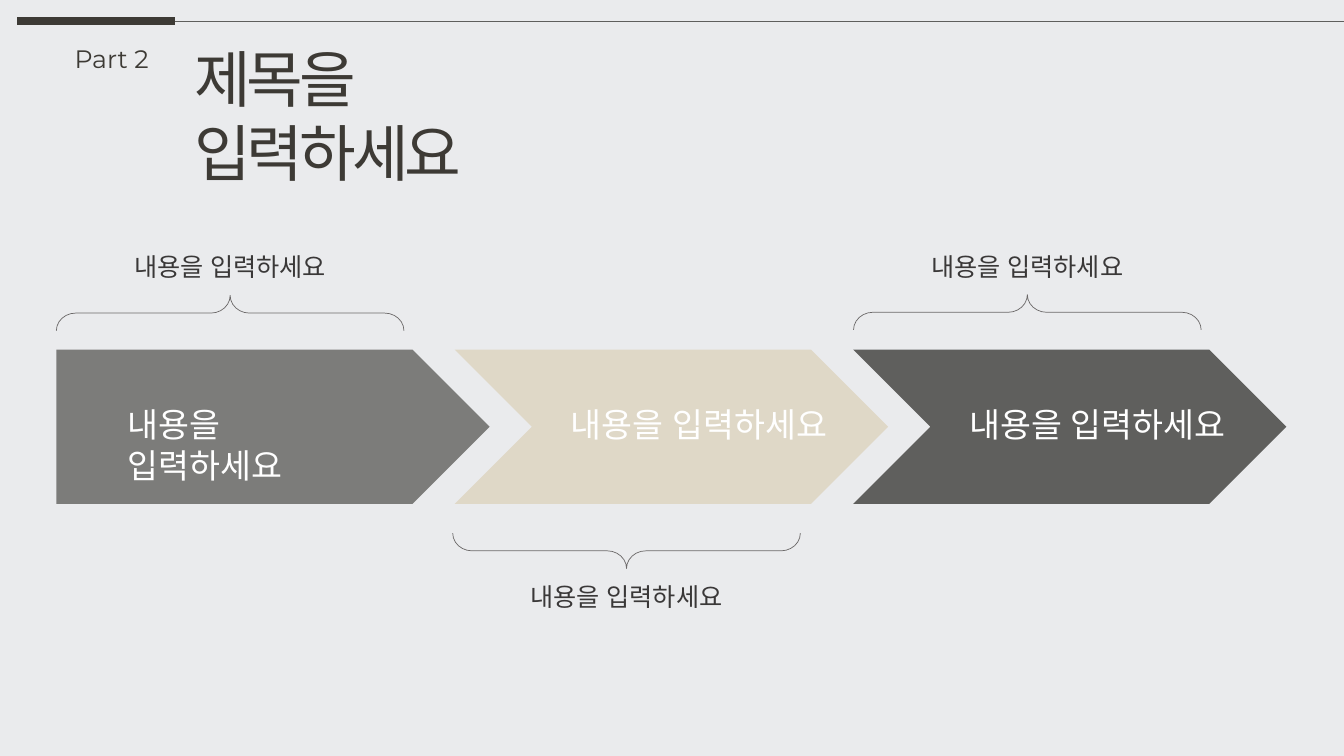
"""Build a three-step arrow process slide with braces and captions."""
from dataclasses import dataclass

from lxml.etree import SubElement
from pptx import Presentation
from pptx.dml.color import RGBColor
from pptx.enum.shapes import MSO_CONNECTOR, MSO_SHAPE
from pptx.enum.text import MSO_AUTO_SIZE, PP_ALIGN
from pptx.oxml.ns import qn
from pptx.slide import Slide
from pptx.util import Cm, Pt

PAPER = RGBColor(0xEA, 0xEB, 0xED)
INK = RGBColor(0x3D, 0x3A, 0x35)
SOFT = RGBColor(0x3A, 0x38, 0x38)
SMOKE = RGBColor(0x5F, 0x5F, 0x5D)
SAND = RGBColor(0xDF, 0xD8, 0xC7)
STONE = RGBColor(0x7C, 0x7C, 0x7A)
EDGE = RGBColor(0x6C, 0x69, 0x69)
WHITE = RGBColor(0xFF, 0xFF, 0xFF)

FACE = "Montserrat"
PROMPT = "내용을 입력하세요"
LEFT, PITCH = 1.42, 10.04
BRACE_W, BRACE_H = 0.89, 8.76
NOTE_W = 5.36


@dataclass
class Label:
    text: str
    left: float
    top: float
    width: float
    height: float
    size: float
    color: RGBColor
    wrap: bool = False
    align: PP_ALIGN = PP_ALIGN.LEFT
    track: int = 0


@dataclass
class Rule:
    start: float
    end: float
    color: RGBColor
    weight: float


@dataclass
class Step:
    kind: MSO_SHAPE
    fill: RGBColor
    inset: float
    width: float
    wrap: bool
    mid: float
    brace_y: float
    note_y: float
    turn: int


RULES = [Rule(0.43, 4.42, INK, 6), Rule(4.42, 33.87, SMOKE, 0.5)]
HEADS = [
    Label("제목을 입력하세요", 4.65, 0.91, 10.82, 2.13, 44, INK, wrap=True, track=-300),
    Label("Part 2", 1.63, 0.97, 2.46, 1.02, 18, INK),
]
STEPS = [
    Step(MSO_SHAPE.PENTAGON, STONE, 1.55, 6.65, True, 5.8, 7.89, 6.2, 90),
    Step(MSO_SHAPE.CHEVRON, SAND, 2.68, 6.99, False, 15.79, 13.88, 14.53, 270),
    Step(MSO_SHAPE.CHEVRON, SMOKE, 2.68, 6.99, False, 25.89, 7.87, 6.2, 90),
]


def add_label(slide: Slide, label: Label) -> None:
    """Draw one text box."""
    box = slide.shapes.add_textbox(
        Cm(label.left), Cm(label.top), Cm(label.width), Cm(label.height))
    frame = box.text_frame
    form = {"word_wrap": label.wrap, "auto_size": MSO_AUTO_SIZE.SHAPE_TO_FIT_TEXT}
    for name, value in form.items():
        setattr(frame, name, value)
    para = frame.paragraphs[0]
    para.alignment = label.align
    run = para.add_run()
    run.text = label.text
    for name, value in {"name": FACE, "size": Pt(label.size)}.items():
        setattr(run.font, name, value)
    run.font.color.rgb = label.color
    props = run._r.get_or_add_rPr()
    SubElement(props, qn("a:ea")).set("typeface", FACE)
    if label.track:
        props.set("spc", str(label.track))


def add_rule(slide: Slide, rule: Rule) -> None:
    """Draw one level line along the top."""
    line = slide.shapes.add_connector(
        MSO_CONNECTOR.STRAIGHT, Cm(rule.start), Cm(0.53), Cm(rule.end), Cm(0.53))
    line.line.color.rgb = rule.color
    line.line.width = Pt(rule.weight)
    SubElement(line._element.spPr, qn("a:effectLst"))


def add_step(slide: Slide, step: Step, left: float) -> None:
    """Draw one arrow with its brace and both labels."""
    arrow = slide.shapes.add_shape(step.kind, Cm(left), Cm(8.81), Cm(10.92), Cm(3.89))
    arrow.shadow.inherit = False
    arrow.fill.solid()
    arrow.fill.fore_color.rgb = step.fill
    arrow.line.fill.background()

    brace = slide.shapes.add_shape(
        MSO_SHAPE.LEFT_BRACE, Cm(step.mid - BRACE_W / 2),
        Cm(step.brace_y - BRACE_H / 2), Cm(BRACE_W), Cm(BRACE_H))
    brace.shadow.inherit = False
    brace.rotation = step.turn
    brace.adjustments[0] = 0.545
    brace.fill.background()
    brace.line.color.rgb = EDGE
    brace.line.width = Pt(0.5)

    add_label(slide, Label(PROMPT, step.mid - NOTE_W / 2, step.note_y, NOTE_W, 1.02,
                           18, SOFT, align=PP_ALIGN.CENTER))
    add_label(slide, Label(PROMPT, left + step.inset, 10.06, step.width, 1.27,
                           24, WHITE, wrap=step.wrap))


def main() -> None:
    """Build and save the slide."""
    deck = Presentation()
    for name, value in {"slide_width": Cm(33.87), "slide_height": Cm(19.05)}.items():
        setattr(deck, name, value)
    slide = deck.slides.add_slide(deck.slide_layouts[6])
    slide.background.fill.solid()
    slide.background.fill.fore_color.rgb = PAPER
    for rule in RULES:
        add_rule(slide, rule)
    for head in HEADS:
        add_label(slide, head)
    for rank, step in enumerate(STEPS):
        add_step(slide, step, LEFT + rank * PITCH)
    deck.save("out.pptx")


if __name__ == "__main__":
    main()
